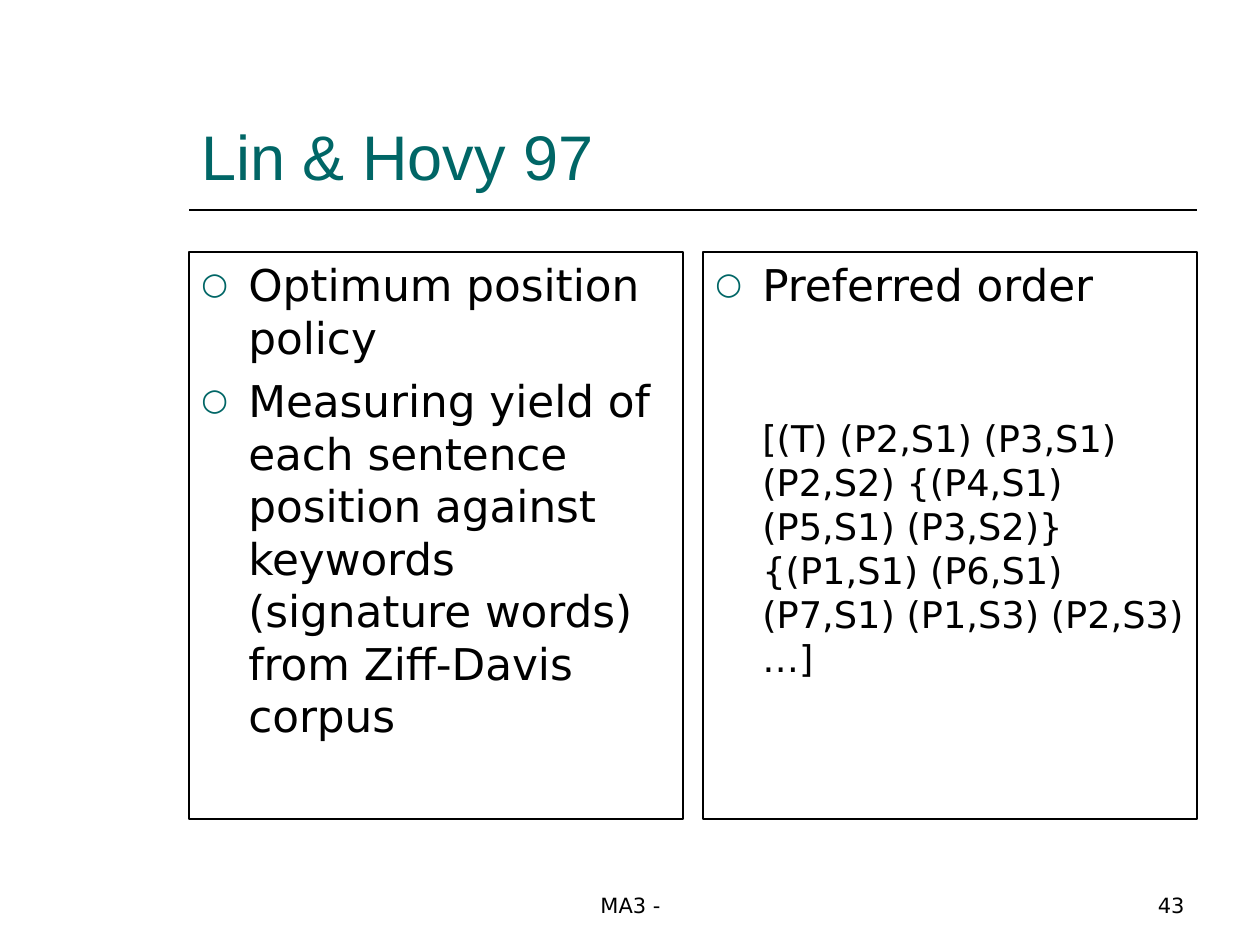
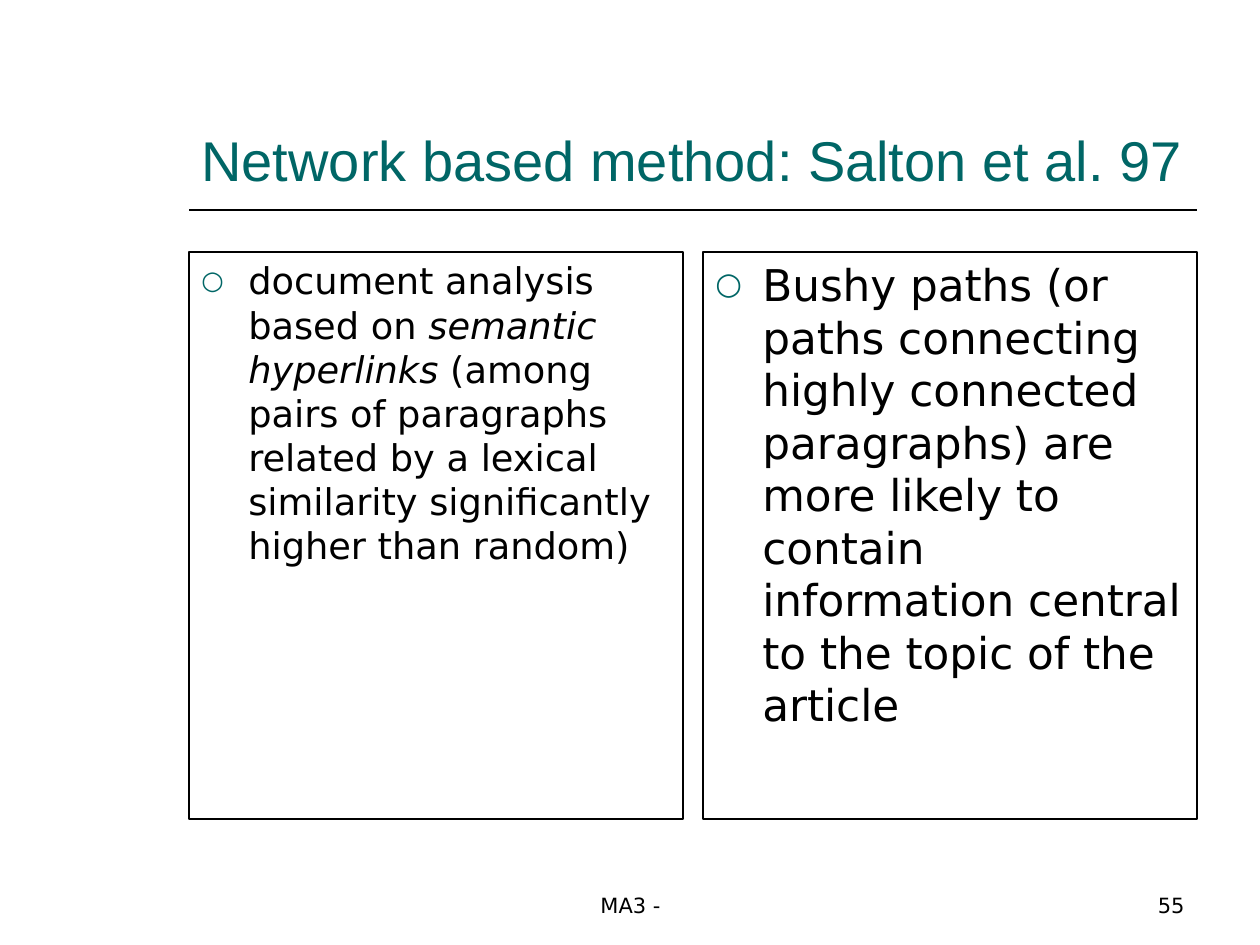
from lxml import etree
from pptx import Presentation
from pptx.dml.color import RGBColor
from pptx.enum import shapes, text
from pptx.oxml import ns
from pptx.util import Emu, Pt

# Content: each panel paragraph is (size, bulleted, space before, runs);
# a run is (words, italic)
SLIDES = [
    {
        "title": ("Lin & Hovy 97", 36),
        "number": "43",
        "panels": [
            [
                (25, True, 0, [("Optimum position policy", False)]),
                (25, True, 6.2, [("Measuring yield of each sentence position against "
                                  "keywords (signature words) from Ziff-Davis corpus", False)]),
            ],
            [
                (25, True, 0, [("Preferred order", False)]),
                (21, False, 60, [("[(T) (P2,S1) (P3,S1) (P2,S2) {(P4,S1) (P5,S1) (P3,S2)} "
                                  "{(P1,S1) (P6,S1) (P7,S1) (P1,S3) (P2,S3) …]", False)]),
            ],
        ],
    },
    {
        "title": ("Network based method: Salton et al. 97", 32),
        "number": "55",
        "panels": [
            [
                (21, True, 0, [("document analysis based on ", False),
                               ("semantic hyperlinks", True),
                               (" (among pairs of paragraphs related by a lexical similarity "
                                "significantly higher than random)", False)]),
            ],
            [
                (25, True, 0, [("Bushy paths (or paths connecting highly connected paragraphs) "
                                "are more likely to contain information central to the topic "
                                "of the article", False)]),
            ],
        ],
    },
]
FOOTER = "MA3 -"

# Shared style
COLORS = {"accent": "006666", "ink": "000000"}
TITLE_FONT, BODY_FONT = "Arial", "DejaVu Sans"

# Layout in px, 126 to the inch
SCALE = 914400 / 126
LEFT, WIDTH = 189, 1008
TITLE_BOX = (LEFT, 42, WIDTH, 157)
RULE_Y = 210
PANEL_TOP, PANEL_HEIGHT, PANEL_GAP = 252, 567, 20
PANEL_WIDTH = (WIDTH - PANEL_GAP) // 2
FOOTER_BOX = (431, 861, 399, 63)
NUMBER_BOX = (903, 861, 294, 63)
INDENT = 47


def px(length):
    return Emu(round(length * SCALE))


def color(name):
    return RGBColor.from_string(COLORS[name])


def style(font, size, name=BODY_FONT, ink="ink", italic=False):
    font.size = Pt(size)
    font.name = name
    font.italic = italic
    font.color.rgb = color(ink)


def add_label(slide, box, words, size, align, name=BODY_FONT, ink="ink"):
    frame = slide.shapes.add_textbox(*map(px, box)).text_frame
    frame.word_wrap = True
    frame.vertical_anchor = text.MSO_ANCHOR.BOTTOM
    frame.text = words
    paragraph = frame.paragraphs[0]
    paragraph.alignment = align
    style(paragraph.runs[0].font, size, name, ink)


def add_rule(slide):
    rule = slide.shapes.add_connector(
        shapes.MSO_CONNECTOR.STRAIGHT, *map(px, (LEFT, RULE_Y, LEFT + WIDTH, RULE_Y)))
    rule.line.color.rgb = color("ink")
    rule.line.width = Pt(1)
    etree.SubElement(rule._element.spPr, ns.qn("a:effectLst"))


def set_indent(paragraph, bulleted):
    properties = paragraph._p.get_or_add_pPr()
    properties.set("marL", str(px(INDENT)))
    properties.set("indent", str(-px(INDENT) if bulleted else 0))
    if not bulleted:
        etree.SubElement(properties, ns.qn("a:buNone"))
        return
    bullet_color = etree.SubElement(properties, ns.qn("a:buClr"))
    etree.SubElement(bullet_color, ns.qn("a:srgbClr"), val=COLORS["accent"])
    etree.SubElement(properties, ns.qn("a:buSzPct"), val="70000")
    etree.SubElement(properties, ns.qn("a:buFont"), typeface=BODY_FONT)
    etree.SubElement(properties, ns.qn("a:buChar"), char="○")


def add_panel(slide, column, paragraphs):
    left = LEFT + column * (PANEL_WIDTH + PANEL_GAP)
    panel = slide.shapes.add_shape(
        shapes.MSO_SHAPE.RECTANGLE,
        *map(px, (left, PANEL_TOP, PANEL_WIDTH, PANEL_HEIGHT)))
    panel.shadow.inherit = False
    panel.fill.background()
    panel.line.color.rgb = color("ink")
    panel.line.width = Pt(0.75)
    frame = panel.text_frame
    frame.word_wrap = True
    frame.vertical_anchor = text.MSO_ANCHOR.TOP
    for index, (size, bulleted, space, runs) in enumerate(paragraphs):
        paragraph = frame.add_paragraph() if index else frame.paragraphs[0]
        set_indent(paragraph, bulleted)
        paragraph.alignment = text.PP_ALIGN.LEFT
        if space:
            paragraph.space_before = Pt(space)
        for words, italic in runs:
            run = paragraph.add_run()
            run.text = words
            style(run.font, size, italic=italic)


def main():
    presentation = Presentation()
    presentation.slide_width, presentation.slide_height = px(1260), px(945)
    for content in SLIDES:
        slide = presentation.slides.add_slide(presentation.slide_layouts[6])
        add_rule(slide)
        add_label(slide, TITLE_BOX, *content["title"], text.PP_ALIGN.LEFT, TITLE_FONT, "accent")
        for column, paragraphs in enumerate(content["panels"]):
            add_panel(slide, column, paragraphs)
        add_label(slide, FOOTER_BOX, FOOTER, 12, text.PP_ALIGN.CENTER)
        add_label(slide, NUMBER_BOX, content["number"], 12, text.PP_ALIGN.RIGHT)
    presentation.save("out.pptx")


if __name__ == "__main__":
    main()
